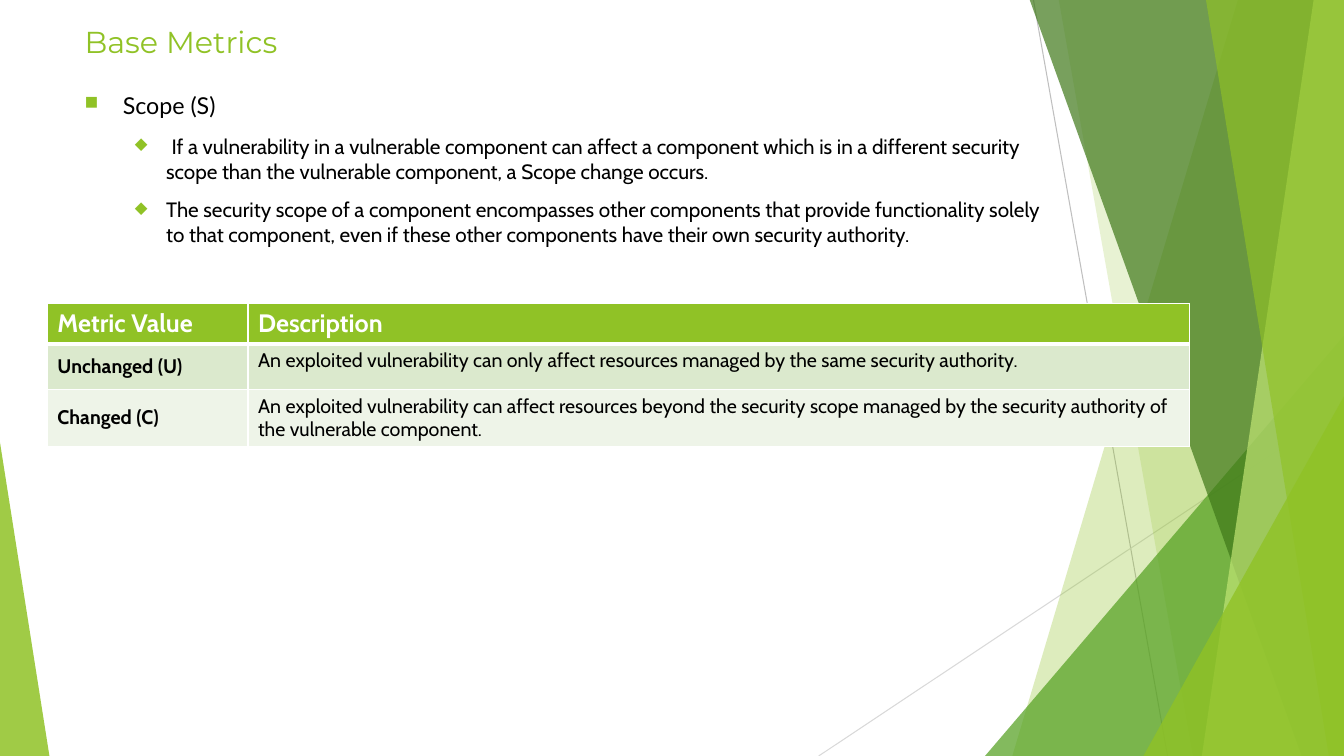
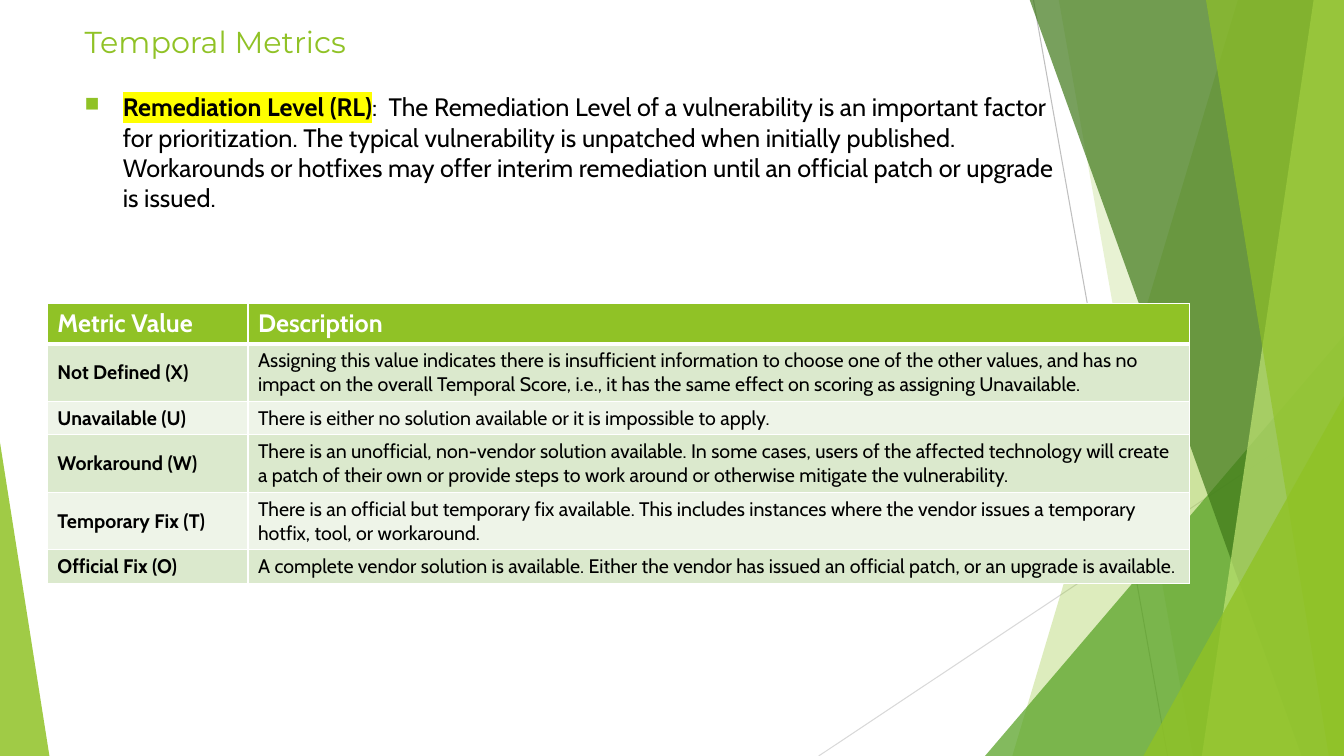
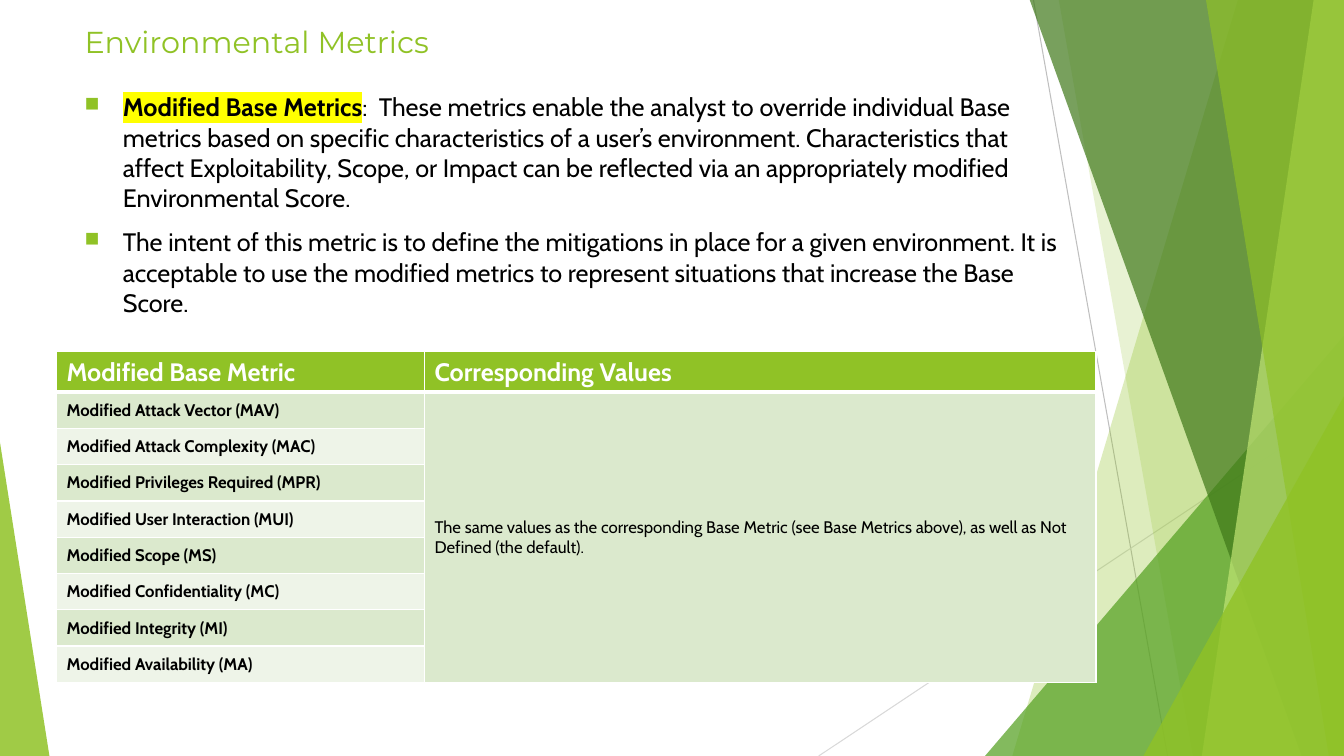
from dataclasses import dataclass
from typing import Optional

from lxml.etree import SubElement
from pptx import Presentation
from pptx.dml.color import RGBColor
from pptx.enum.shapes import MSO_CONNECTOR as Conn, MSO_SHAPE as Kind
from pptx.enum.text import MSO_ANCHOR as Anchor
from pptx.oxml.ns import qn
from pptx.util import Inches, Pt

WIDE, HIGH = 13.33, 7.5
LIME, GREEN, DARK, PALE = "90C226", "54A021", "3F7819", "C0E474"
BLACK, WHITE, YELLOW = "000000", "FFFFFF", "FFFF00"
BANDS = ("DBE9CD", "EEF4E8")
FONT = "Cabin"


@dataclass
class Ray:
    start: tuple[float, float]
    end: tuple[float, float]
    color: str


@dataclass
class Blade:
    """A four-sided band from its left edge to the right slide edge."""
    top: float
    foot: float
    color: str
    alpha: int


@dataclass
class Wedge:
    left: float
    top: float
    width: float
    color: str
    alpha: int
    peak: int = 1


@dataclass
class Run:
    text: str
    size: float = 18
    font: str = FONT
    bold: bool = False
    color: str = BLACK
    mark: Optional[str] = None


@dataclass
class Point:
    runs: list[Run]
    level: int = 0


@dataclass
class Grid:
    left: float
    top: float
    cols: tuple[float, float]
    heights: list[float]
    heads: tuple[str, str]
    rows: list[tuple[str, Optional[str]]]
    size: float = 14
    middle: bool = False


@dataclass
class Page:
    title: str
    points: list[Point]
    grid: Grid
    depth: float = 1.8


@dataclass
class Bullet:
    char: str
    left: float
    hang: float


BULLETS = (Bullet("■", 0.38, 0.38), Bullet("◆", 0.81, 0.31))

DECOR = [
    Ray((10.25, 0), (11.58, HIGH), "BFBFBF"),
    Ray((WIDE, 4.03), (8.12, HIGH), "D9D9D9"),
    Blade(12.28, 10.04, LIME, 30),
    Blade(10.5, 11.83, LIME, 20),
    Wedge(9.77, 3.33, 3.56, GREEN, 72),
    Blade(10.21, 12.91, DARK, 70),
    Blade(13.03, 11.92, PALE, 70),
    Blade(11.96, 13.18, LIME, 65),
    Wedge(11.34, 3.93, 1.99, LIME, 80),
    Wedge(0, 4.39, 0.49, LIME, 85, peak=0),
]


def rgb(code: str) -> RGBColor:
    return RGBColor.from_string(code)


def tint(parent, code: str):
    """Add an XML colour element under parent."""
    return SubElement(parent, qn("a:srgbClr"), val=code)


def paint(shape, code: str, alpha: int) -> None:
    """Fill a shape with a see-through colour and no outline."""
    shape.shadow.inherit = False
    shape.line.fill.background()
    shape.fill.solid()
    shape.fill.fore_color.rgb = rgb(code)
    clr = shape.fill._xPr.find(qn("a:solidFill"))[0]
    SubElement(clr, qn("a:alpha"), val=str(alpha * 1000))


def draw_ray(slide, ray: Ray) -> None:
    ends = [Inches(n) for n in ray.start + ray.end]
    line = slide.shapes.add_connector(Conn.STRAIGHT, *ends)
    line.line.color.rgb = rgb(ray.color)
    line.line.width = Pt(0.75)
    SubElement(line._element.spPr, qn("a:effectLst"))


def draw_blade(slide, blade: Blade) -> None:
    spots = [(blade.top, -0.01), (WIDE, -0.01), (WIDE, HIGH), (blade.foot, HIGH)]
    first, *rest = [(Inches(x), Inches(y)) for x, y in spots]
    form = slide.shapes.build_freeform(*first)
    form.add_line_segments(rest, close=True)
    paint(form.convert_to_shape(), blade.color, blade.alpha)


def draw_wedge(slide, wedge: Wedge) -> None:
    shape = slide.shapes.add_shape(
        Kind.ISOSCELES_TRIANGLE, Inches(wedge.left), Inches(wedge.top),
        Inches(wedge.width), Inches(HIGH - wedge.top))
    shape.adjustments[0] = wedge.peak
    paint(shape, wedge.color, wedge.alpha)


PENS = {Ray: draw_ray, Blade: draw_blade, Wedge: draw_wedge}


def add_run(para, run: Run) -> None:
    part = para.add_run()
    part.text = run.text
    font = part.font
    font.size, font.bold = Pt(run.size), run.bold
    font.color.rgb = rgb(run.color)
    if run.mark:
        tint(SubElement(font._element, qn("a:highlight")), run.mark)
    font.name = run.font


def add_box(slide, top: float, width: float, height: float):
    box = slide.shapes.add_textbox(
        Inches(0.74), Inches(top), Inches(width), Inches(height))
    box.text_frame.word_wrap = True
    return box.text_frame


def set_bullet(para, level: int) -> None:
    bullet = BULLETS[level]
    para.level = level
    para.space_before = Pt(10)
    props = para._p.get_or_add_pPr()
    props.set("marL", str(Inches(bullet.left)))
    props.set("indent", str(-Inches(bullet.hang)))
    tint(SubElement(props, qn("a:buClr")), LIME)
    SubElement(props, qn("a:buSzPct"), val="80000")
    SubElement(props, qn("a:buChar"), char=bullet.char)


def add_points(slide, points: list[Point], depth: float) -> None:
    frame = add_box(slide, 0.86, 9.86, depth)
    for i, point in enumerate(points):
        para = frame.add_paragraph() if i else frame.paragraphs[0]
        set_bullet(para, point.level)
        for run in point.runs:
            add_run(para, run)


def set_edges(cell, row: int) -> None:
    """Draw white cell borders, thick under the header row."""
    props = cell._tc.get_or_add_tcPr()
    thick = {"T": row == 1, "B": row == 0}
    for side in "LRTB":
        width = Pt(3 if thick.get(side) else 1)
        edge = SubElement(props, qn(f"a:ln{side}"), w=str(width))
        tint(SubElement(edge, qn("a:solidFill")), WHITE)


def add_grid(slide, grid: Grid) -> None:
    lines = [grid.heads] + grid.rows
    table = slide.shapes.add_table(
        len(lines), len(grid.cols), Inches(grid.left), Inches(grid.top),
        Inches(sum(grid.cols)), Inches(sum(grid.heights))).table
    for col, width in zip(table.columns, grid.cols):
        col.width = Inches(width)
    for r, line in enumerate(lines):
        table.rows[r].height = Inches(grid.heights[r])
        for c, text in enumerate(line):
            cell = table.cell(r, c)
            set_edges(cell, r)
            cell.fill.solid()
            cell.fill.fore_color.rgb = rgb(BANDS[(r - 1) % 2] if r else LIME)
            if r and (c == 0 or grid.middle):
                cell.vertical_anchor = Anchor.MIDDLE
            if text:
                run = (Run(text, grid.size, bold=c == 0) if r
                       else Run(text, bold=True, color=WHITE))
                add_run(cell.text_frame.paragraphs[0], run)
    if grid.rows[-1][1] is None:
        table.cell(1, 1).merge(table.cell(len(grid.rows), 1))


def add_page(deck, page: Page) -> None:
    slide = deck.slides.add_slide(deck.slide_layouts[6])
    for item in DECOR:
        PENS[type(item)](slide, item)
    frame = add_box(slide, 0.18, 9.4, 0.47)
    frame.vertical_anchor = Anchor.MIDDLE
    add_run(frame.paragraphs[0], Run(page.title, 21.6, "Montserrat", color=LIME))
    add_points(slide, page.points, page.depth)
    add_grid(slide, page.grid)


def metric_grid(heights: list[float], rows: list[tuple[str, Optional[str]]]) -> Grid:
    return Grid(0.47, 3.01, (1.99, 9.34), heights,
                ("Metric Value", "Description"), rows)


def term(name: str, text: str) -> Point:
    """Make a point that opens with a highlighted term."""
    return Point([Run(name, bold=True, mark=YELLOW), Run(text)])


MODIFIED = [
    "Attack Vector (MAV)", "Attack Complexity (MAC)", "Privileges Required (MPR)",
    "User Interaction (MUI)", "Scope (MS)", "Confidentiality (MC)",
    "Integrity (MI)", "Availability (MA)",
]
SAME = ("The same values as the corresponding Base Metric (see Base Metrics above), "
        "as well as Not Defined (the default).")

PAGES = [
    Page("Base Metrics", [
        Point([Run("Scope (S)", 16.6, "Lato")]),
        Point([
            Run(" ", 14.8, "Open Sans", color="111111"),
            Run("If a vulnerability in a vulnerable component can affect a component "
                "which is in a different security scope than the vulnerable "
                "component, a Scope change occurs.", 14.8),
        ], 1),
        Point([Run(
            "The security scope of a component encompasses other components that "
            "provide functionality solely to that component, even if these other "
            "components have their own security authority.", 14.8)], 1),
    ], metric_grid([0.4, 0.45, 0.57], [
        ("Unchanged (U)",
         "An exploited vulnerability can only affect resources managed by the same "
         "security authority."),
        ("Changed (C)",
         "An exploited vulnerability can affect resources beyond the security scope "
         "managed by the security authority of the vulnerable component."),
    ])),
    Page("Temporal Metrics", [
        term("Remediation Level (RL)",
             ":  The Remediation Level of a vulnerability is an important factor for "
             "prioritization. The typical vulnerability is unpatched when initially "
             "published. Workarounds or hotfixes may offer interim remediation until "
             "an official patch or upgrade is issued."),
    ], metric_grid([0.4, 0.57, 0.33, 0.57, 0.57, 0.33], [
        ("Not Defined (X)",
         "Assigning this value indicates there is insufficient information to choose "
         "one of the other values, and has no impact on the overall Temporal Score, "
         "i.e., it has the same effect on scoring as assigning Unavailable."),
        ("Unavailable (U)",
         "There is either no solution available or it is impossible to apply."),
        ("Workaround (W)",
         "There is an unofficial, non-vendor solution available. In some cases, users "
         "of the affected technology will create a patch of their own or provide "
         "steps to work around or otherwise mitigate the vulnerability."),
        ("Temporary Fix (T)",
         "There is an official but temporary fix available. This includes instances "
         "where the vendor issues a temporary hotfix, tool, or workaround."),
        ("Official Fix (O)",
         "A complete vendor solution is available. Either the vendor has issued an "
         "official patch, or an upgrade is available."),
    ])),
    Page("Environmental Metrics", [
        term("Modified Base Metrics",
             ":  These metrics enable the analyst to override individual Base metrics "
             "based on specific characteristics of a user’s environment. "
             "Characteristics that affect Exploitability, Scope, or Impact can be "
             "reflected via an appropriately modified Environmental Score."),
        Point([Run(
            "The intent of this metric is to define the mitigations in place for a "
            "given environment. It is acceptable to use the modified metrics to "
            "represent situations that increase the Base Score.")]),
    ], Grid(0.56, 3.49, (3.65, 6.66), [0.4] + [0.36] * len(MODIFIED),
            ("Modified Base Metric", "Corresponding Values"),
            [(f"Modified {name}", None if i else SAME)
             for i, name in enumerate(MODIFIED)],
            size=12, middle=True), depth=3.34),
]


def main() -> None:
    deck = Presentation()
    deck.slide_width, deck.slide_height = Inches(WIDE), Inches(HIGH)
    for page in PAGES:
        add_page(deck, page)
    deck.save("out.pptx")


if __name__ == "__main__":
    main()
